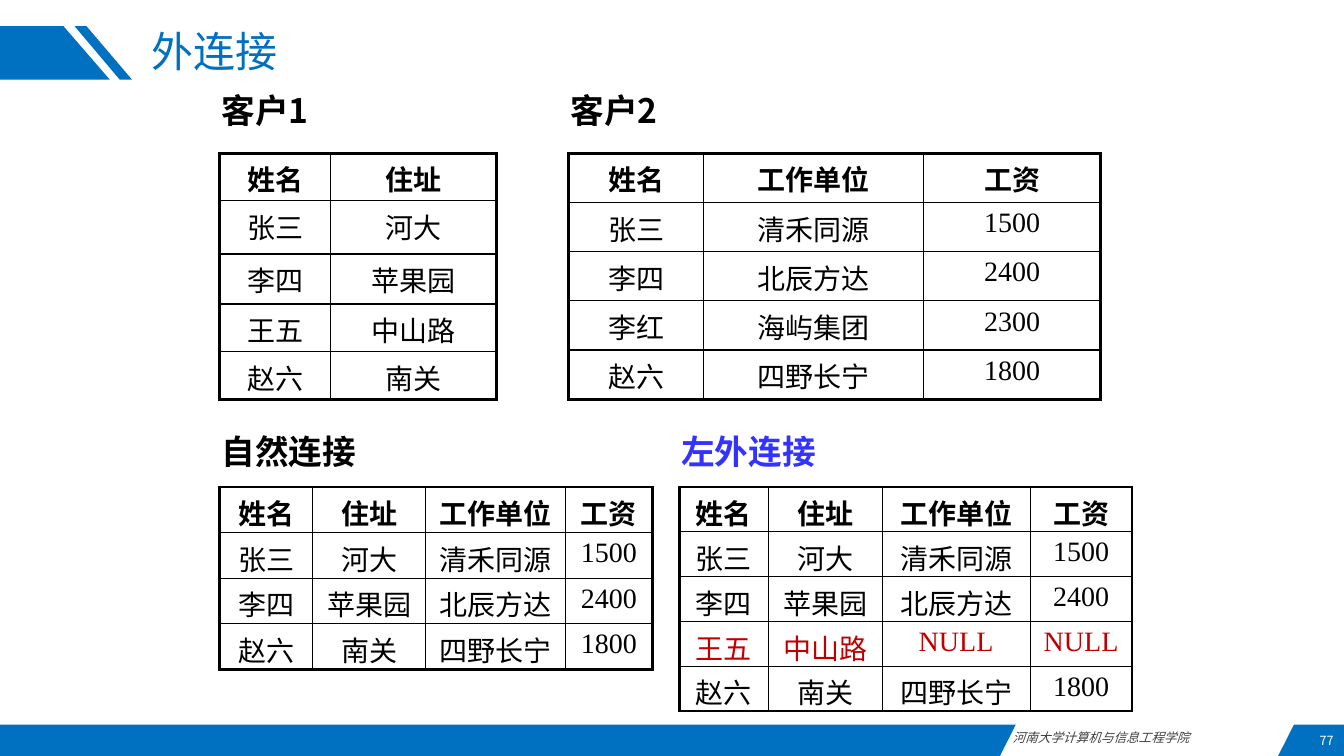
from dataclasses import dataclass
from itertools import product

from lxml import etree
from pptx import Presentation
from pptx.dml.color import RGBColor
from pptx.enum.text import MSO_ANCHOR, PP_ALIGN
from pptx.oxml.ns import qn
from pptx.slide import Slide
from pptx.util import Cm, Pt

LEFT, CENTER, RIGHT = PP_ALIGN.LEFT, PP_ALIGN.CENTER, PP_ALIGN.RIGHT
JUSTIFY = PP_ALIGN.JUSTIFY
TOP, MIDDLE = MSO_ANCHOR.TOP, MSO_ANCHOR.MIDDLE

Point = tuple[float, float]


@dataclass(frozen=True)
class Theme:
    blue: str = "0070C0"
    black: str = "000000"
    caption_blue: str = "3333FF"
    null_red: str = "C00000"
    footer_gray: str = "404040"
    white: str = "FFFFFF"
    sans: str = "Noto Sans CJK SC"
    serif: str = "Times New Roman"
    title_size: float = 30
    caption_size: float = 24
    cell_size: float = 20
    footer_size: float = 9
    outer_line: float = 2.25
    inner_line: float = 1


THEME = Theme()


@dataclass(frozen=True)
class TextStyle:
    size: float
    color: str
    font: str = THEME.sans
    bold: bool = False
    italic: bool = False
    align: PP_ALIGN = LEFT


@dataclass(frozen=True)
class Label:
    text: str
    left: float
    top: float
    width: float
    height: float
    style: TextStyle
    anchor: MSO_ANCHOR = TOP
    margin: float = 0.13


@dataclass(frozen=True)
class Relation:
    """A captioned table; lengths are in centimetres."""
    caption: str
    left: float
    top: float
    caption_rise: float
    columns: list[float]
    row_heights: list[float]
    rows: list[str]
    caption_color: str = THEME.black
    cjk_font: str = THEME.sans
    red_row: int | None = None


UPPER, LOWER = 3.86, 12.27
RELATIONS = [
    Relation("客户1", 5.54, UPPER, 1.6, [2.79, 4.19],
             [1.19, 1.35, 1.26, 1.2, 1.2],
             ["姓名 住址", "张三 河大", "李四 苹果园", "王五 中山路", "赵六 南关"]),
    Relation("客户2", 14.33, UPPER, 1.6, [3.4, 5.54, 4.47], [1.24] * 5,
             ["姓名 工作单位 工资", "张三 清禾同源 1500", "李四 北辰方达 2400",
              "李红 海屿集团 2300", "赵六 四野长宁 1800"]),
    Relation("自然连接", 5.54, LOWER, 1.4, [2.34, 2.85, 3.52, 2.19], [1.15] * 4,
             ["姓名 住址 工作单位 工资", "张三 河大 清禾同源 1500",
              "李四 苹果园 北辰方达 2400", "赵六 南关 四野长宁 1800"]),
    Relation("左外连接", 17.12, LOWER, 1.4, [2.24, 2.87, 3.73, 2.57], [1.13] * 5,
             ["姓名 住址 工作单位 工资", "张三 河大 清禾同源 1500",
              "李四 苹果园 北辰方达 2400", "王五 中山路 NULL NULL",
              "赵六 南关 四野长宁 1800"],
             caption_color=THEME.caption_blue, cjk_font=THEME.serif, red_row=3),
]

BLUE_BANDS: list[list[Point]] = [
    [(0, 0.66), (1.6, 0.66), (2.77, 2.01), (0, 2.01)],
    [(2.18, 0.66), (3.33, 2.01), (3.02, 2.01), (1.88, 0.66)],
    [(0, 18.26), (25.6, 18.26), (25.2, 19.05), (0, 19.05)],
    [(32.61, 18.26), (33.87, 18.26), (33.87, 19.05), (32.21, 19.05)],
]

FOOTER_LABELS = [
    Label("河南大学计算机与信息工程学院", 25.27, 18.26, 6.93, 0.64,
          TextStyle(THEME.footer_size, THEME.footer_gray, italic=True, align=JUSTIFY)),
    Label("77", 30.33, 18.29, 3.53, 0.76,
          TextStyle(THEME.footer_size, THEME.white, align=RIGHT), MIDDLE),
]


def write(text_frame, text: str, style: TextStyle) -> None:
    text_frame.text = text
    paragraph = text_frame.paragraphs[0]
    paragraph.alignment = style.align
    font = paragraph.font
    font.name, font.size = style.font, Pt(style.size)
    font.bold, font.italic = style.bold, style.italic
    font.color.rgb = RGBColor.from_string(style.color)
    defaults = paragraph._p.pPr.find(qn("a:defRPr"))
    etree.SubElement(defaults, qn("a:ea"), typeface=THEME.sans)


def add_band(slide: Slide, corners: list[Point]) -> None:
    start, *others = [(Cm(x), Cm(y)) for x, y in corners]
    builder = slide.shapes.build_freeform(*start)
    builder.add_line_segments(others)
    band = builder.convert_to_shape()
    band.shadow.inherit = False
    band.fill.solid()
    band.fill.fore_color.rgb = RGBColor.from_string(THEME.blue)
    band.line.fill.background()


def add_label(slide: Slide, label: Label) -> None:
    box = slide.shapes.add_textbox(Cm(label.left), Cm(label.top),
                                   Cm(label.width), Cm(label.height))
    frame = box.text_frame
    frame.word_wrap = True
    frame.vertical_anchor = label.anchor
    frame.margin_top = frame.margin_bottom = Cm(label.margin)
    write(frame, label.text, label.style)


def add_border(cell, side: str, width: float) -> None:
    line = etree.SubElement(cell._tc.get_or_add_tcPr(), qn(f"a:ln{side}"),
                            w=str(Pt(width)))
    fill = etree.SubElement(line, qn("a:solidFill"))
    etree.SubElement(fill, qn("a:srgbClr"), val=THEME.black)


def add_relation(slide: Slide, relation: Relation) -> None:
    caption_style = TextStyle(THEME.caption_size, relation.caption_color, bold=True)
    add_label(slide, Label(relation.caption, relation.left - 0.2,
                           relation.top - relation.caption_rise, 4.6, 1.27,
                           caption_style, margin=0))

    row_count, column_count = len(relation.rows), len(relation.columns)
    table = slide.shapes.add_table(
        row_count, column_count, Cm(relation.left), Cm(relation.top),
        Cm(sum(relation.columns)), Cm(sum(relation.row_heights))).table
    table.first_row = table.horz_banding = False
    for column, width in zip(table.columns, relation.columns):
        column.width = Cm(width)
    for row, height in zip(table.rows, relation.row_heights):
        row.height = Cm(height)

    values = [row.split() for row in relation.rows]
    for r, c in product(range(row_count), range(column_count)):
        cell, value = table.cell(r, c), values[r][c]
        cell.margin_top, cell.margin_bottom = Cm(0.13), 0
        on_edge = {"L": c == 0, "R": c == column_count - 1,
                   "T": r == 0, "B": r == row_count - 1}
        for side, is_outer in on_edge.items():
            add_border(cell, side, THEME.outer_line if is_outer else THEME.inner_line)
        cell.fill.background()
        write(cell.text_frame, value, TextStyle(
            THEME.cell_size,
            THEME.null_red if r == relation.red_row else THEME.black,
            THEME.serif if value.isascii() else relation.cjk_font,
            bold=r == 0, align=CENTER))


def add_title(slide: Slide, text: str) -> None:
    title = slide.shapes.title
    title.left, title.top = Cm(3.56), Cm(0.66)
    title.width, title.height = Cm(26.54), Cm(1.42)
    title.text_frame.vertical_anchor = MIDDLE
    write(title.text_frame, text, TextStyle(THEME.title_size, THEME.blue))
    title.text_frame.paragraphs[0].line_spacing = 0.9


def main() -> None:
    presentation = Presentation()
    presentation.slide_width, presentation.slide_height = Cm(33.87), Cm(19.05)
    title_only = presentation.slide_layouts[5]
    slide = presentation.slides.add_slide(title_only)
    add_title(slide, "外连接")
    for corners in BLUE_BANDS:
        add_band(slide, corners)
    for label in FOOTER_LABELS:
        add_label(slide, label)
    for relation in RELATIONS:
        add_relation(slide, relation)
    presentation.save("out.pptx")


if __name__ == "__main__":
    main()
